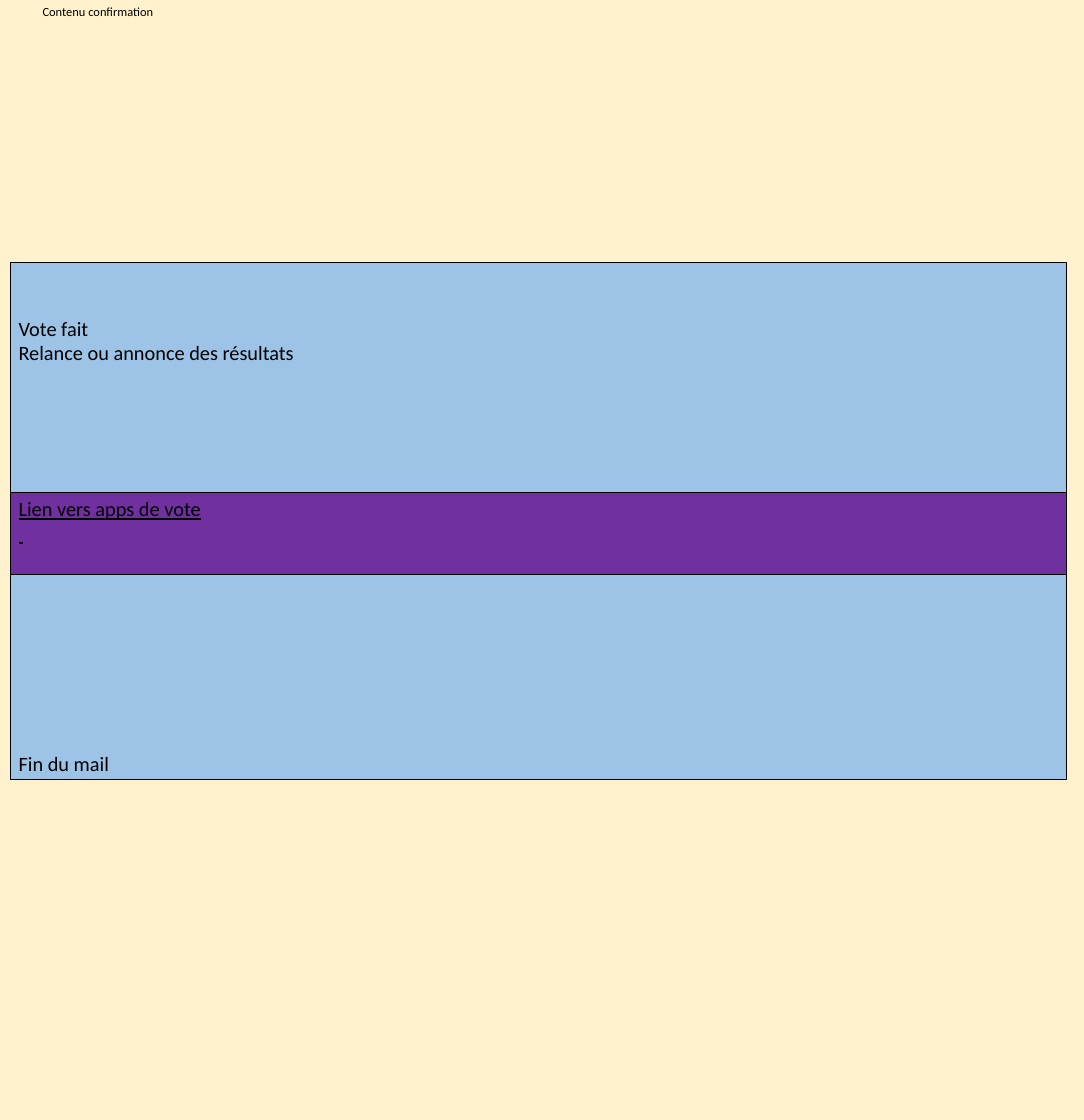
from pptx import Presentation
from pptx.dml.color import RGBColor
from pptx.enum import shapes, text
from pptx.util import Pt

CREAM = RGBColor(0xFF, 0xF2, 0xCC)
BLUE = RGBColor(0x9D, 0xC3, 0xE6)
PURPLE = RGBColor(0x70, 0x30, 0xA0)
BLACK = RGBColor(0, 0, 0)

LEFT, WIDTH = 9.36, 935.28
TOP = 232.56


def write(frame, lines, size, align, under=False):
    frame.word_wrap = True
    for i, line in enumerate(lines):
        para = frame.paragraphs[0] if i == 0 else frame.add_paragraph()
        para.alignment = align
        run = para.add_run()
        run.text = line
        font = run.font
        font.name = "Calibri"
        font.size = Pt(size)
        font.color.rgb = BLACK
        if under:
            font.underline = True


def add_title(slide, line):
    box = slide.shapes.add_textbox(Pt(0), Pt(0), Pt(173.5), Pt(20.6))
    write(box.text_frame, [line], 11, text.PP_ALIGN.CENTER)


def add_band(slide, top, height, fill, lines, anchor, inset=3.6, under=False):
    band = slide.shapes.add_shape(
        shapes.MSO_SHAPE.RECTANGLE, Pt(LEFT), Pt(top), Pt(WIDTH), Pt(height))
    band.shadow.inherit = False
    band.fill.solid()
    band.fill.fore_color.rgb = fill
    band.line.color.rgb = BLACK
    band.line.width = Pt(0.75)
    frame = band.text_frame
    frame.vertical_anchor = anchor
    frame.margin_top = Pt(inset)
    write(frame, lines, 18, text.PP_ALIGN.LEFT, under)


def main():
    prs = Presentation()
    prs.slide_width, prs.slide_height = Pt(960), Pt(992.16)
    slide = prs.slides.add_slide(prs.slide_layouts[6])

    # Background and heading
    back = slide.background.fill
    back.solid()
    back.fore_color.rgb = CREAM
    add_title(slide, "Contenu confirmation")

    # Stacked parts of the mail: message, voting link, closing
    high, low = text.MSO_ANCHOR.TOP, text.MSO_ANCHOR.BOTTOM
    bands = [
        (203.76, BLUE, ["Vote fait", "Relance ou annonce des résultats"],
         high, 47.5, False),
        (72.72, PURPLE, ["Lien vers apps de vote", " "], high, 3.6, True),
        (181.44, BLUE, ["Fin du mail"], low, 3.6, False),
    ]
    top = TOP
    for height, *look in bands:
        add_band(slide, top, height, *look)
        top += height

    prs.save("out.pptx")


if __name__ == "__main__":
    main()
